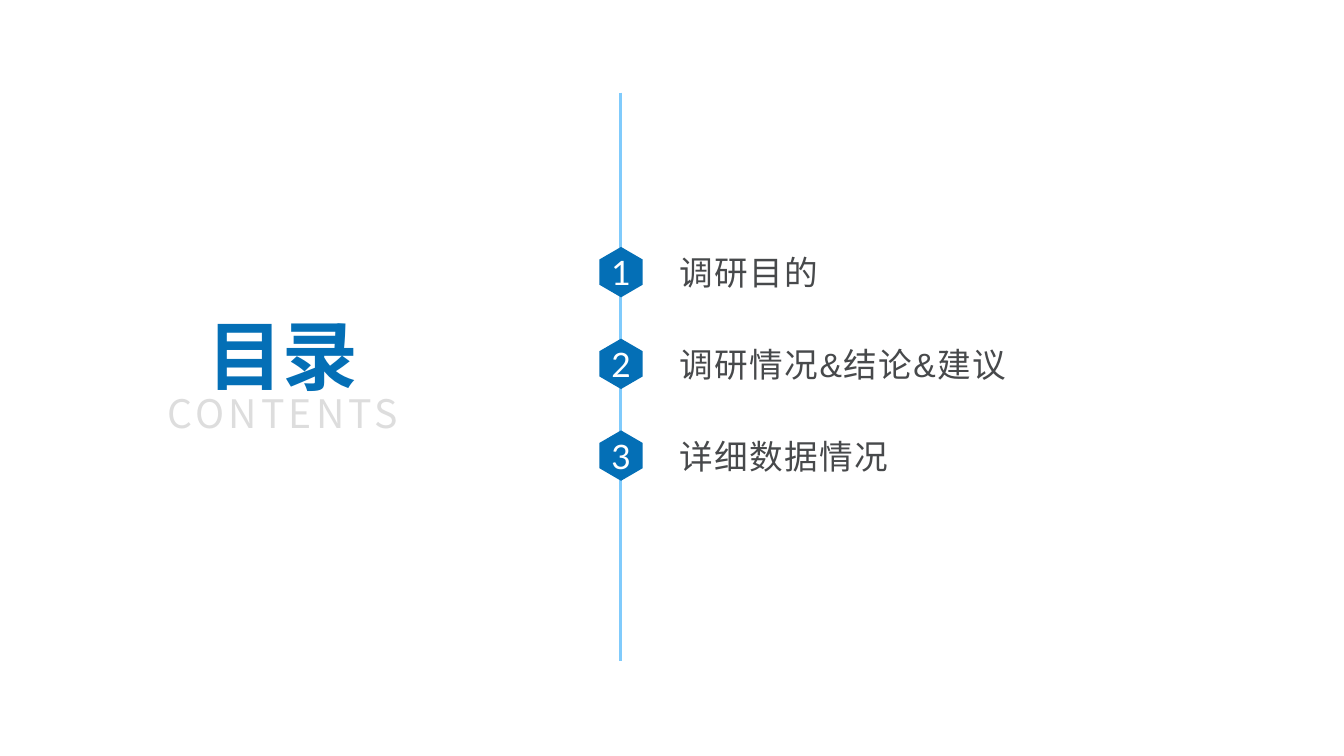
from lxml import etree
from pptx import Presentation
from pptx.dml.color import RGBColor
from pptx.enum.shapes import MSO_CONNECTOR
from pptx.enum.text import MSO_ANCHOR, PP_ALIGN
from pptx.oxml.ns import qn
from pptx.util import Inches, Pt

BLUE = RGBColor(0x04, 0x6F, 0xB6)
SKY = RGBColor(0x80, 0xCB, 0xFC)
DARK = RGBColor(0x47, 0x49, 0x4B)
PALE = RGBColor(0xDD, 0xDD, 0xDD)
WHITE = RGBColor(0xFF, 0xFF, 0xFF)
CJK_FONT = "Noto Sans CJK SC"

SLIDE_W, SLIDE_H = 13.33, 7.5
HEX_W, HEX_H = 0.43, 0.5
TOPICS = ["调研目的", "调研情况&结论&建议", "详细数据情况"]


def write(shape, text, size, font, color, align=PP_ALIGN.LEFT, bold=False,
          spacing=0, insets=(0, 0, 0, 0), wrap=True):
    """Put one styled, vertically centred line of text in a shape."""
    frame = shape.text_frame
    frame.word_wrap = wrap
    frame.vertical_anchor = MSO_ANCHOR.MIDDLE
    (frame.margin_left, frame.margin_top,
     frame.margin_right, frame.margin_bottom) = map(Inches, insets)
    paragraph = frame.paragraphs[0]
    paragraph.alignment = align
    run = paragraph.add_run()
    run.text = text
    run.font.size, run.font.bold, run.font.name = Pt(size), bold, font
    run.font.color.rgb = color
    properties = run.font._element
    properties.set("spc", str(spacing * 100))
    etree.SubElement(properties, qn("a:ea")).set("typeface", CJK_FONT)


def add_text(slide, box, text, size, font, color, **style):
    """Add a text box at (left, top, width, height) in inches."""
    shape = slide.shapes.add_textbox(*map(Inches, box))
    write(shape, text, size, font, color, **style)


def add_hexagon(slide, center_x, center_y, label):
    """Draw a numbered, upright hexagon around a centre point."""
    corners = [(0, -0.5), (0.5, -0.25), (0.5, 0.25),
               (0, 0.5), (-0.5, 0.25), (-0.5, -0.25)]
    points = [(Inches(center_x + x * HEX_W), Inches(center_y + y * HEX_H))
              for x, y in corners]
    builder = slide.shapes.build_freeform(*points[0])
    builder.add_line_segments(points[1:], close=True)
    hexagon = builder.convert_to_shape()
    hexagon.shadow.inherit = False
    hexagon.fill.solid()
    hexagon.fill.fore_color.rgb = BLUE
    hexagon.line.fill.background()
    write(hexagon, label, 24, "Lato", WHITE, align=PP_ALIGN.CENTER, wrap=False)


def add_heading(slide, left, top, width, height):
    """Stack the heading and its subtitle in two overlapping rows."""
    row = height * 0.6
    add_text(slide, (left, top, width, row), "目录", 54, CJK_FONT, BLUE,
             bold=True, align=PP_ALIGN.CENTER)
    add_text(slide, (left, top + height - row, width, row), "CONTENTS", 28,
             CJK_FONT, PALE, spacing=3, align=PP_ALIGN.CENTER)


def add_topics(slide, left, top, width, height):
    """Draw the vertical line and the topics, spaced evenly about its middle."""
    line = slide.shapes.add_connector(
        MSO_CONNECTOR.STRAIGHT, Inches(left), Inches(top),
        Inches(left), Inches(top + height))
    line.line.color.rgb = SKY
    line.line.width = Pt(2.25)
    etree.SubElement(line._element.spPr, qn("a:effectLst"))

    pitch, row = 0.91, 1.03
    first = top + height / 2 - 0.13 - pitch * (len(TOPICS) - 1) / 2
    for index, topic in enumerate(TOPICS):
        middle = first + index * pitch
        add_text(slide, (left + 0.39, middle - row / 2, width - 0.39, row),
                 topic, 24, "Arial", DARK, spacing=1,
                 insets=(0.2, 0.05, 0.1, 0.05))
        add_hexagon(slide, left + 0.01, middle, str(index + 1))


def main():
    """Build the contents slide."""
    deck = Presentation()
    deck.slide_width, deck.slide_height = Inches(SLIDE_W), Inches(SLIDE_H)
    slide = deck.slides.add_slide(deck.slide_layouts[6])
    add_topics(slide, 6.15, 0.92, 5.36, 5.64)
    add_heading(slide, 1.3, 3.09, 3.01, 1.43)
    deck.save("out.pptx")


main()
